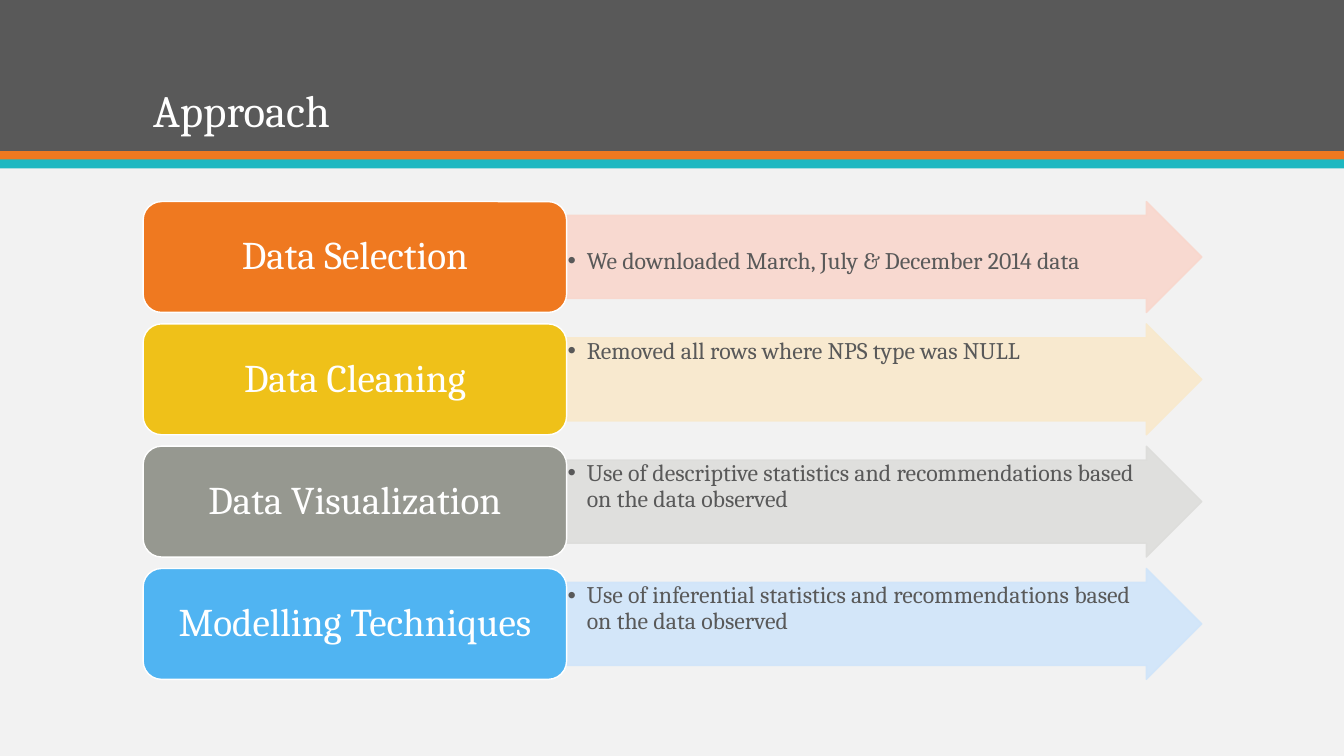
from lxml import etree
from pptx import Presentation
from pptx.dml.color import RGBColor
from pptx.enum.shapes import MSO_SHAPE
from pptx.enum.text import MSO_ANCHOR, PP_ALIGN
from pptx.oxml.ns import qn
from pptx.util import Inches, Pt

RECTANGLE = MSO_SHAPE.RECTANGLE
ROUNDED = MSO_SHAPE.ROUNDED_RECTANGLE
ARROW = MSO_SHAPE.RIGHT_ARROW
TOP, MIDDLE, BOTTOM = MSO_ANCHOR.TOP, MSO_ANCHOR.MIDDLE, MSO_ANCHOR.BOTTOM
LEFT, CENTER = PP_ALIGN.LEFT, PP_ALIGN.CENTER

WHITE = RGBColor(0xFF, 0xFF, 0xFF)
PAPER = RGBColor(0xF2, 0xF2, 0xF2)
GRAY = RGBColor(0x59, 0x59, 0x59)
ORANGE = RGBColor(0xEF, 0x79, 0x20)
TEAL = RGBColor(0x1E, 0xB8, 0xC1)
YELLOW = RGBColor(0xEF, 0xC1, 0x19)
STONE = RGBColor(0x96, 0x98, 0x90)
BLUE = RGBColor(0x50, 0xB4, 0xF2)
PALE_ORANGE = RGBColor(0xF9, 0xD7, 0xCD)
PALE_YELLOW = RGBColor(0xF9, 0xE9, 0xCC)
PALE_STONE = RGBColor(0xDD, 0xDD, 0xDB)
PALE_BLUE = RGBColor(0xD0, 0xE5, 0xFA)

FONT = "Cambria"
WIDTH, HEIGHT = 13.33, 7.5
STEPS = [
    ("Data Selection", "We downloaded March, July & December 2014 data",
     ORANGE, PALE_ORANGE, 0.33),
    ("Data Cleaning", "Removed all rows where NPS type was NULL",
     YELLOW, PALE_YELLOW, 0.01),
    ("Data Visualization",
     "Use of descriptive statistics and recommendations based on the data observed",
     STONE, PALE_STONE, 0.01),
    ("Modelling Techniques",
     "Use of inferential statistics and recommendations based on the data observed",
     BLUE, PALE_BLUE, 0.01),
]


def set_attributes(target, values):
    for name, value in values.items():
        setattr(target, name, value)


def add_shape(slide, kind, box, fill, line=None):
    shape = slide.shapes.add_shape(kind, *map(Inches, box))
    shape.shadow.inherit = False
    shape.fill.solid()
    shape.fill.fore_color.rgb = fill
    if line is None:
        shape.line.fill.background()
    else:
        shape.line.color.rgb = line
        shape.line.width = Pt(1)
    return shape


def write_text(shape, text, size, color, align, anchor, margins):
    frame = shape.text_frame
    left, top, right, bottom = map(Inches, margins)
    set_attributes(frame, {
        "word_wrap": True, "vertical_anchor": anchor, "margin_left": left,
        "margin_top": top, "margin_right": right, "margin_bottom": bottom})
    paragraph = frame.paragraphs[0]
    set_attributes(paragraph, {"text": text, "alignment": align, "line_spacing": 0.9})
    set_attributes(paragraph.runs[0].font, {"name": FONT, "size": Pt(size)})
    paragraph.runs[0].font.color.rgb = color
    return paragraph


def add_bullet(paragraph, indent):
    properties = paragraph._p.get_or_add_pPr()
    properties.set("marL", str(Inches(indent)))
    properties.set("indent", str(-Inches(indent)))
    etree.SubElement(properties, qn("a:buFont")).set("typeface", "Arial")
    etree.SubElement(properties, qn("a:buChar")).set("char", "•")


def set_opacity(shape, percent):
    for color in shape._element.spPr.iter(qn("a:srgbClr")):
        etree.SubElement(color, qn("a:alpha")).set("val", str(percent * 1000))


def add_header(slide, left, top, width, height):
    stripe = 0.09
    add_shape(slide, RECTANGLE, (left, top, width, height), GRAY)
    for index, color in enumerate((ORANGE, TEAL)):
        stripe_top = top + height + index * (stripe - 0.01)
        add_shape(slide, RECTANGLE, (left, stripe_top, width, stripe), color)
    title_box = (left + 1.42, top + 0.28, 10.5, 1.13)
    title = slide.shapes.add_textbox(*map(Inches, title_box))
    write_text(title, "Approach", 32, WHITE, LEFT, BOTTOM, (0.1, 0.05, 0.1, 0.05))


def add_step(slide, left, top, width, height, step):
    name, detail, color, pale, lead = step
    label_width = width * 0.4
    arrow_box = (left + label_width, top, width - label_width, height)
    arrow = add_shape(slide, ARROW, arrow_box, pale, pale)
    arrow.adjustments[0] = 0.75
    arrow.adjustments[1] = 0.5
    set_opacity(arrow, 90)
    paragraph = write_text(arrow, detail, 17, GRAY, LEFT, TOP, (0.01, lead, 0.01, 0.01))
    add_bullet(paragraph, 0.19)
    label = add_shape(slide, ROUNDED, (left, top, label_width, height), color, WHITE)
    write_text(label, name, 28, WHITE, CENTER, MIDDLE, (0.12, 0.06, 0.12, 0.06))


def add_steps(slide, left, top, width, height):
    step_height = 1.1
    pitch = (height - step_height) / (len(STEPS) - 1)
    for index, step in enumerate(STEPS):
        add_step(slide, left, top + index * pitch, width, step_height, step)


def main():
    presentation = Presentation()
    set_attributes(presentation, {
        "slide_width": Inches(WIDTH), "slide_height": Inches(HEIGHT)})
    slide = presentation.slides.add_slide(presentation.slide_layouts[6])
    slide.background.fill.solid()
    slide.background.fill.fore_color.rgb = PAPER
    add_header(slide, 0, 0, WIDTH, 1.5)
    add_steps(slide, 1.42, 2, 10.5, 4.74)
    presentation.save("out.pptx")


if __name__ == "__main__":
    main()
